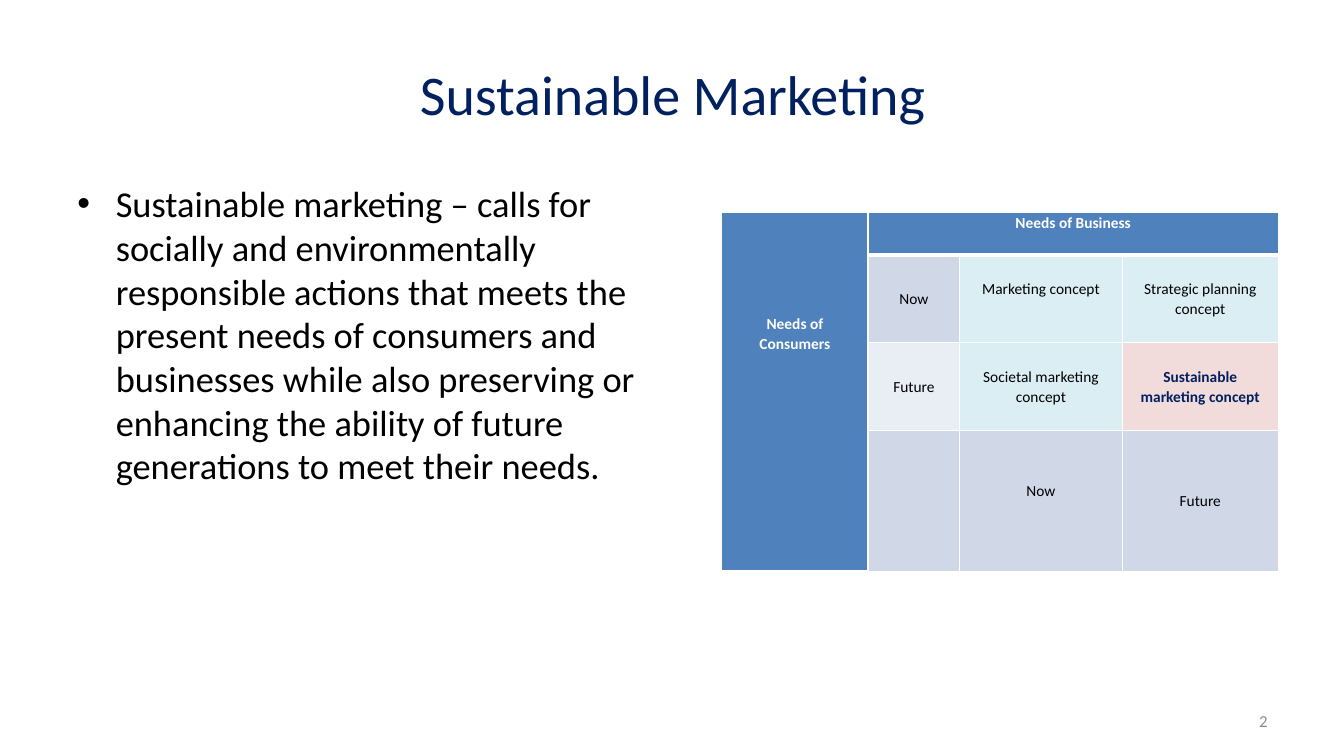
import pptx
import pptx.dml.color
import pptx.enum.text
import pptx.oxml
import pptx.oxml.ns
import pptx.util
from pptx.util import Inches

ALIGN = pptx.enum.text.PP_ALIGN
ANCHOR = pptx.enum.text.MSO_ANCHOR
NAVY, BLACK, WHITE, GREY = "002060", "000000", "FFFFFF", "8C8C8C"
BLUE, PALE_BLUE, PALER_BLUE, AQUA, ROSE = "4F81BD", "D0D8E8", "E9EDF4", "DBEEF4", "F2DCDB"
LINE_HEIGHT = 0.2


def color(hex_string):
    """Turn a hex string into a colour."""
    return pptx.dml.color.RGBColor.from_string(hex_string)


def style(paragraph, size, hex_string, alignment, bold=False):
    """Set the font and alignment of a paragraph."""
    paragraph.alignment = alignment
    paragraph.font.name = "Calibri"
    paragraph.font.size = pptx.util.Pt(size)
    paragraph.font.bold = bold
    paragraph.font.color.rgb = color(hex_string)


def add_text(slide, box, text, size, hex_string, alignment, anchor=ANCHOR.MIDDLE, bullet=False):
    """Place one paragraph in the given box."""
    shape = slide.shapes.add_textbox(*map(Inches, box))
    frame = shape.text_frame
    frame.word_wrap = True
    frame.vertical_anchor = anchor
    paragraph = frame.paragraphs[0]
    paragraph.text = text
    if bullet:
        properties = paragraph._p.get_or_add_pPr()
        properties.set("marL", str(Inches(0.38)))
        properties.set("indent", str(Inches(-0.38)))
        namespace = pptx.oxml.ns.nsdecls("a")
        properties.append(pptx.oxml.parse_xml(f'<a:buFont {namespace} typeface="Arial"/>'))
        properties.append(pptx.oxml.parse_xml(f'<a:buChar {namespace} char="•"/>'))
    style(paragraph, size, hex_string, alignment)


def set_borders(cell, top, bottom):
    """Draw white cell borders, with top and bottom widths in points."""
    properties = cell._tc.get_or_add_tcPr()
    for side, width in (("L", 1), ("R", 1), ("T", top), ("B", bottom)):
        properties.append(pptx.oxml.parse_xml(
            f'<a:ln{side} {pptx.oxml.ns.nsdecls("a")} w="{pptx.util.Pt(width)}">'
            f'<a:solidFill><a:srgbClr val="{WHITE}"/></a:solidFill></a:ln{side}>'))


def fill_cell(cell, text, fill, hex_string=BLACK, bold=False,
              anchor=ANCHOR.MIDDLE, top=0, bottom=0):
    """Fill a cell and write its lines between the given margins."""
    cell.fill.solid()
    cell.fill.fore_color.rgb = color(fill)
    cell.vertical_anchor = anchor
    cell.margin_left = cell.margin_right = Inches(0.07)
    cell.margin_top, cell.margin_bottom = Inches(top), Inches(bottom)
    cell.text = text
    for paragraph in cell.text_frame.paragraphs:
        paragraph.line_spacing = 1.07
        style(paragraph, 11, hex_string, ALIGN.CENTER, bold)


def add_needs_table(slide, left, top):
    """Build the matrix of consumer and business needs."""
    widths = [1.45, 0.91, 1.61, 1.55]
    heights = [0.42, 0.87, 0.87, 1.4]
    table = slide.shapes.add_table(
        len(heights), len(widths), Inches(left), Inches(top),
        Inches(sum(widths)), Inches(sum(heights))).table
    for column, width in zip(table.columns, widths):
        column.width = Inches(width)
    for row, height in zip(table.rows, heights):
        row.height = Inches(height)
    for row_index, row in enumerate(table.rows):
        for column_index, cell in enumerate(row.cells):
            under_header = row_index == 1 and column_index > 0
            header_end = row_index == 0 or column_index == 0
            set_borders(cell, 3 if under_header else 1, 3 if header_end else 1)
    table.cell(0, 0).merge(table.cell(3, 0))
    table.cell(0, 1).merge(table.cell(0, 3))
    header = {"fill": BLUE, "hex_string": WHITE, "bold": True, "anchor": ANCHOR.TOP}
    fill_cell(table.cell(0, 0), "Needs of\nConsumers", top=5 * LINE_HEIGHT, **header)
    fill_cell(table.cell(0, 1), "Needs of Business", **header)
    body = [
        [("Now", PALE_BLUE), ("Marketing concept", AQUA), ("Strategic planning concept", AQUA)],
        [("Future", PALER_BLUE), ("Societal marketing concept", AQUA),
         ("Sustainable marketing concept", ROSE, NAVY, True)],
        [("", PALE_BLUE), ("Now", PALE_BLUE), ("Future", PALE_BLUE)],
    ]
    raised = {(1, 2), (3, 2)}
    for row_index, entries in enumerate(body, 1):
        for column_index, entry in enumerate(entries, 1):
            bottom = LINE_HEIGHT if (row_index, column_index) in raised else 0
            fill_cell(table.cell(row_index, column_index), *entry, bottom=bottom)


def build_slide(presentation):
    """Lay out the title, definition, matrix and page number."""
    slide = presentation.slides.add_slide(presentation.slide_layouts[6])
    add_text(slide, (0.67, 0.3, 12, 1.25), "Sustainable Marketing", 40, NAVY, ALIGN.CENTER)
    add_text(slide, (0.67, 1.75, 5.89, 4.95),
             "Sustainable marketing – calls for socially and environmentally responsible "
             "actions that meets the present needs of consumers and businesses while also "
             "preserving or enhancing the ability of future generations to meet their needs.",
             26, BLACK, ALIGN.LEFT, ANCHOR.TOP, bullet=True)
    add_needs_table(slide, 7.16, 2.11)
    add_text(slide, (9.56, 6.95, 3.11, 0.4), "2", 12, GREY, ALIGN.RIGHT)


def main():
    """Create and save the presentation."""
    presentation = pptx.Presentation()
    presentation.slide_width, presentation.slide_height = Inches(13.33), Inches(7.5)
    build_slide(presentation)
    presentation.save("out.pptx")


if __name__ == "__main__":
    main()
